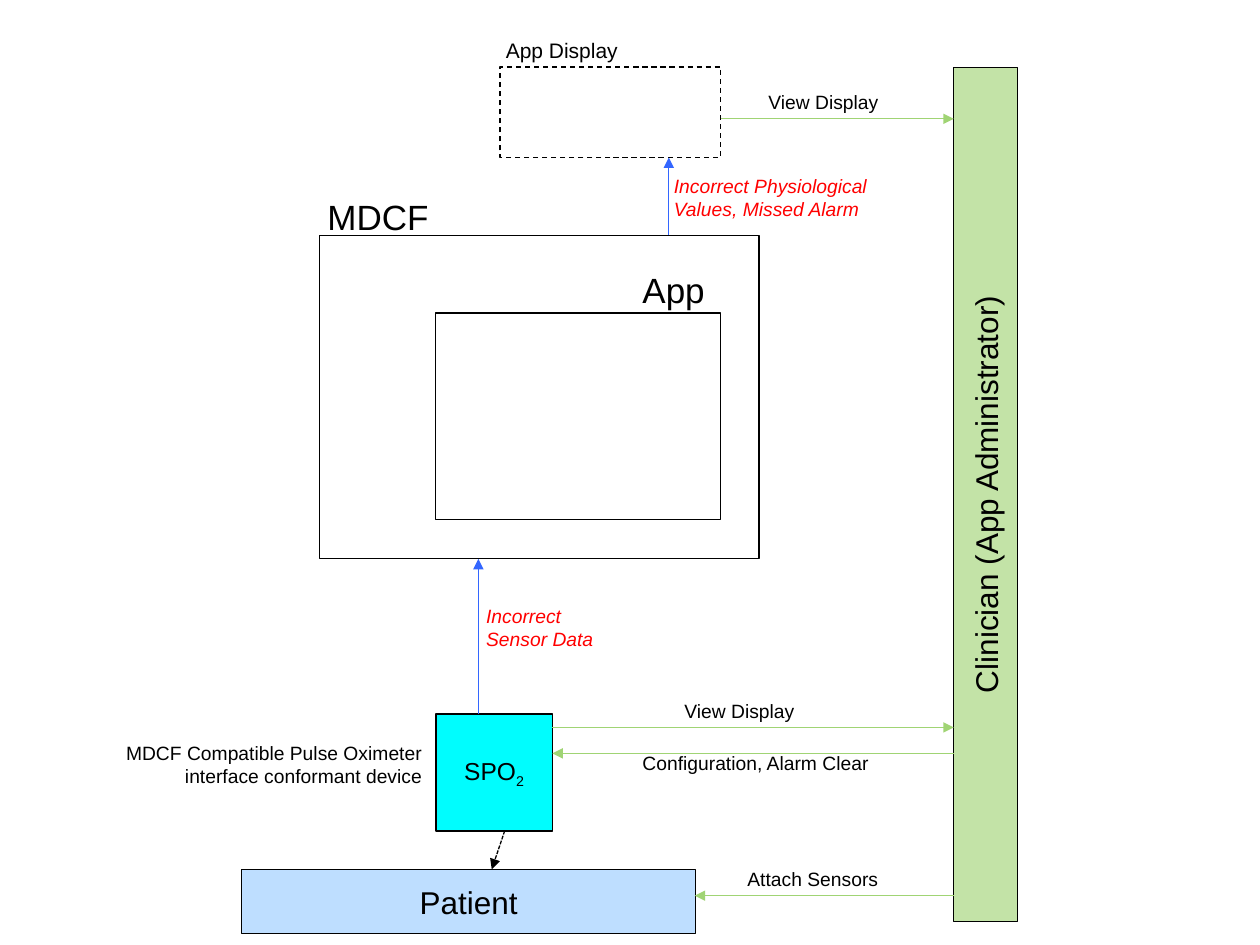
"""Build the patient monitoring diagram slide."""
from dataclasses import dataclass
from typing import Optional

from lxml import etree
from pptx import Presentation
from pptx.dml.color import RGBColor
from pptx.enum.dml import MSO_LINE
from pptx.enum.shapes import MSO_CONNECTOR, MSO_SHAPE
from pptx.enum.text import MSO_ANCHOR, PP_ALIGN
from pptx.oxml.ns import qn
from pptx.util import Pt

RECTANGLE = MSO_SHAPE.RECTANGLE
STRAIGHT = MSO_CONNECTOR.STRAIGHT
MIDDLE = MSO_ANCHOR.MIDDLE
LEFT, CENTER, RIGHT = PP_ALIGN.LEFT, PP_ALIGN.CENTER, PP_ALIGN.RIGHT
DASH, SHORT_DASH = MSO_LINE.DASH, MSO_LINE.SQUARE_DOT

BLACK = RGBColor(0x00, 0x00, 0x00)
RED = RGBColor(0xFF, 0x00, 0x00)
BLUE = RGBColor(0x33, 0x66, 0xFF)
GREEN = RGBColor(0xA0, 0xD4, 0x74)
SKY = RGBColor(0x99, 0xCC, 0xFF)
CYAN = RGBColor(0x00, 0xFD, 0xFE)

FONT = "Arial"
CLINICIAN_EDGE = 545
SENSOR_EDGE = 315.7


@dataclass
class Box:
    left: float
    top: float
    width: float
    height: float
    text: str = ""
    size: float = 18
    fill: Optional[RGBColor] = None
    opacity: int = 100
    line_width: float = 0.75
    dash: Optional[MSO_LINE] = None
    rotation: float = 0
    wrap: bool = False
    subscript: str = ""


@dataclass
class Label:
    left: float
    top: float
    width: float
    height: float
    text: str
    size: float = 11
    color: RGBColor = BLACK
    italic: bool = False
    align: PP_ALIGN = LEFT


@dataclass
class Arrow:
    x1: float
    y1: float
    x2: float
    y2: float
    color: RGBColor = GREEN
    dash: Optional[MSO_LINE] = None


BOXES = [
    Box(138.2, 496.8, 259.2, 36.7, "Patient", fill=SKY, opacity=63),
    Box(182.4, 134.4, 251.3, 184.8),
    Box(248.8, 178.8, 162.9, 118.2),
    Box(285.8, 38.2, 126, 51.8, dash=DASH),
    Box(249, 408, 66.7, 66.9, "SPO", 14, CYAN, line_width=1, wrap=True, subscript="2"),
    Box(319, 264.2, 488.2, 36.7, "Clinician (App Administrator)", fill=GREEN,
        opacity=63, rotation=270),
]

ARROWS = [
    Arrow(288.4, 474.8, 281, 496.8, BLACK, SHORT_DASH),
    Arrow(273.4, 408, 273.4, 319.4, BLUE),
    Arrow(382.2, 134.4, 382.2, 90, BLUE),
    Arrow(411.8, 67.9, CLINICIAN_EDGE, 67.9),
    Arrow(CLINICIAN_EDGE, 430.5, SENSOR_EDGE, 430.5),
    Arrow(SENSOR_EDGE, 415.7, CLINICIAN_EDGE, 415.7),
    Arrow(CLINICIAN_EDGE, 511.8, 397, 511.8),
]

LABELS = [
    Label(54, 420, 194.4, 34, "MDCF Compatible Pulse Oximeter interface conformant device",
          align=RIGHT),
    Label(270.7, 341.6, 89.3, 34, "Incorrect Sensor Data", color=RED, italic=True),
    Label(180, 108, 90, 39, "MDCF", 20),
    Label(360, 150, 63.4, 39, "App", 20),
    Label(282, 18, 98.6, 26.6, "App Display", 12),
    Label(432, 48, 96.5, 25, "View Display"),
    Label(360, 426, 162, 21, "Configuration, Alarm Clear"),
    Label(384, 396, 96.5, 25, "View Display"),
    Label(420, 492, 122.4, 25, "Attach Sensors"),
    Label(378, 96, 131.8, 34, "Incorrect Physiological Values, Missed Alarm", color=RED,
          italic=True),
]


def style_line(line, color: RGBColor, width: float, dash: Optional[MSO_LINE]) -> None:
    line.color.rgb = color
    line.width = Pt(width)
    if dash is not None:
        line.dash_style = dash


def write(frame, text: str, size: float, color: RGBColor, align: PP_ALIGN):
    para = frame.paragraphs[0]
    para.alignment = align
    para.font.name = FONT
    para.font.size = Pt(size)
    para.font.color.rgb = color
    para.add_run().text = text
    return para


def draw_box(page, box: Box) -> None:
    shape = page.shapes.add_shape(
        RECTANGLE, Pt(box.left), Pt(box.top), Pt(box.width), Pt(box.height))
    shape.shadow.inherit = False
    shape.rotation = box.rotation
    style_line(shape.line, BLACK, box.line_width, box.dash)
    if box.fill is None:
        shape.fill.background()
    else:
        shape.fill.solid()
        shape.fill.fore_color.rgb = box.fill
        if box.opacity < 100:
            color = shape.fill._xPr.find(".//" + qn("a:srgbClr"))
            etree.SubElement(color, qn("a:alpha"), val=str(box.opacity * 1000))
    if box.text:
        frame = shape.text_frame
        frame.word_wrap = box.wrap
        frame.vertical_anchor = MIDDLE
        para = write(frame, box.text, box.size, BLACK, CENTER)
        if box.subscript:
            span = para.add_run()
            span.text = box.subscript
            span._r.get_or_add_rPr().set("baseline", "-25000")


def draw_arrow(page, arrow: Arrow) -> None:
    connector = page.shapes.add_connector(
        STRAIGHT, Pt(arrow.x1), Pt(arrow.y1), Pt(arrow.x2), Pt(arrow.y2))
    style_line(connector.line, arrow.color, 0.75, arrow.dash)
    etree.SubElement(connector.line._get_or_add_ln(), qn("a:tailEnd"), type="triangle")
    etree.SubElement(connector._element.spPr, qn("a:effectLst"))


def draw_label(page, label: Label) -> None:
    frame = page.shapes.add_textbox(
        Pt(label.left), Pt(label.top), Pt(label.width), Pt(label.height)).text_frame
    frame.word_wrap = True
    para = write(frame, label.text, label.size, label.color, label.align)
    para.font.italic = label.italic


def main() -> None:
    deck = Presentation()
    deck.slide_width, deck.slide_height = Pt(720), Pt(540)
    page = deck.slides.add_slide(deck.slide_layouts[6])
    for box in BOXES:
        draw_box(page, box)
    for arrow in ARROWS:
        draw_arrow(page, arrow)
    for label in LABELS:
        draw_label(page, label)
    deck.save("out.pptx")


main()
